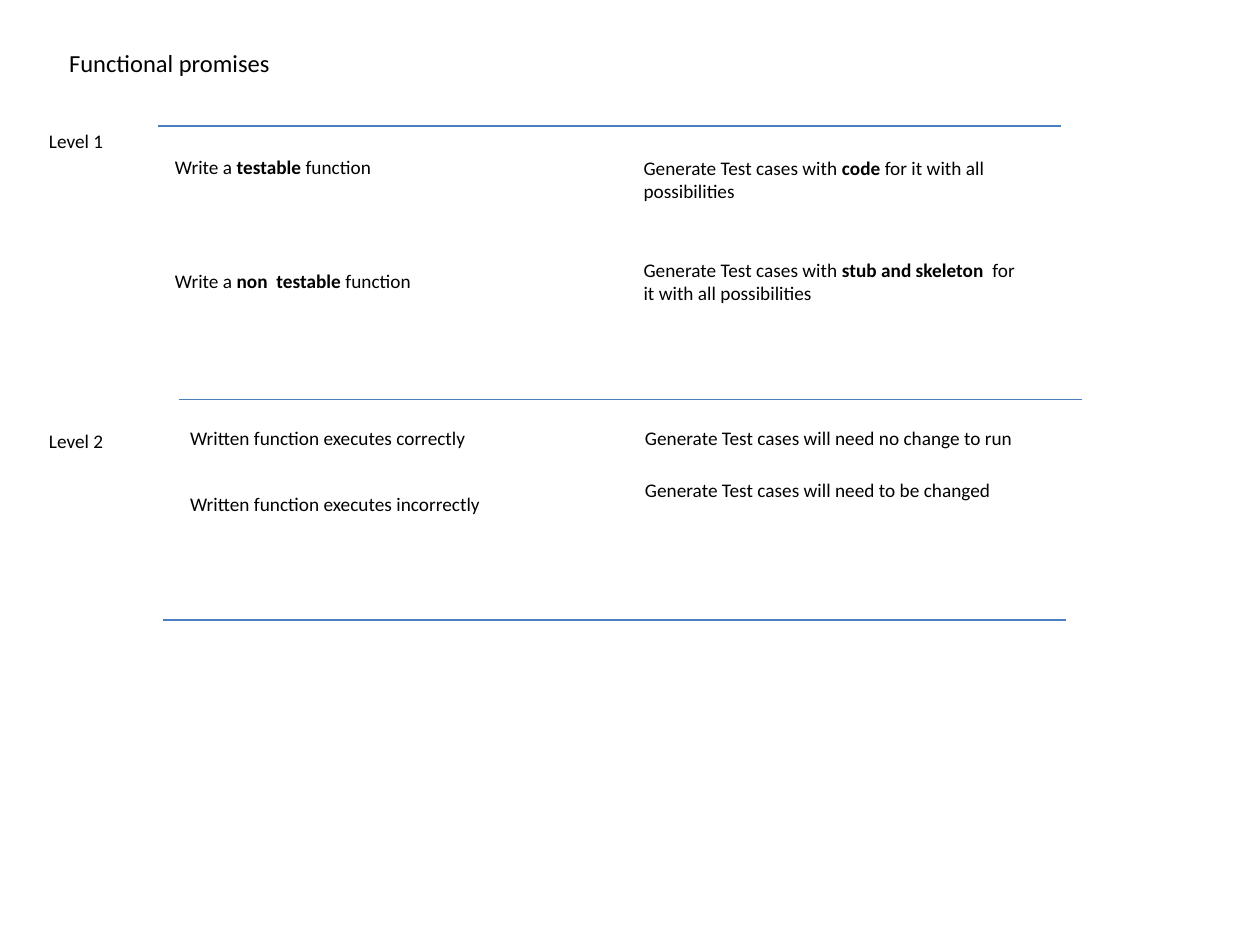
from dataclasses import dataclass

import lxml.etree
import pptx
import pptx.dml.color
import pptx.enum.shapes
import pptx.enum.text
import pptx.oxml.ns
import pptx.util

# The slide is a grid of 100 columns by 75 rows, each a tenth of an inch.
CELL = pptx.util.Inches(0.1)
COLUMNS, ROWS = 100, 75
RULE_COLUMNS = 71.7
LEVEL_COLUMN, LEVEL_COLUMNS = 2.9, 9.2
PROMISE_COLUMNS, TEST_COLUMNS = 27.5, 31.7
LINE_ROWS, TWO_LINE_ROWS = 2.9, 4.7
FONT, TEXT_SIZE, TITLE_SIZE = "Calibri", 11, 14
BLACK, BLUE = "000000", "4B7EBC"


@dataclass(frozen=True)
class Rule:
    """Left end of a horizontal rule, in grid cells."""
    column: float
    row: float


@dataclass(frozen=True)
class Label:
    """Text in a grid area; double asterisks enclose bold words."""
    text: str
    column: float
    row: float
    columns: float
    rows: float = LINE_ROWS
    size: float = TEXT_SIZE


RULES = [Rule(12.5, 10), Rule(14.2, 31.7), Rule(12.9, 49.2)]

LABELS = [
    Label("Functional promises", 4.5, 3.3, 19.6, 3.4, TITLE_SIZE),
    Label("Level 1", LEVEL_COLUMN, 9.8, LEVEL_COLUMNS),
    Label("Write a **testable** function", 12.9, 11.8, PROMISE_COLUMNS),
    Label("Generate Test cases with **code **for it with all possibilities",
          50.1, 11.9, TEST_COLUMNS, TWO_LINE_ROWS),
    Label("Write a **non  testable **function", 12.9, 20.9, PROMISE_COLUMNS),
    Label("Generate Test cases with **stub and skeleton  **for it with all possibilities",
          50.1, 20, TEST_COLUMNS, TWO_LINE_ROWS),
    Label("Level 2", LEVEL_COLUMN, 33.6, LEVEL_COLUMNS),
    Label("Written function executes correctly", 14.1, 33.3, PROMISE_COLUMNS),
    Label("Generate Test cases will need no change to run", 50.2, 33.3, TEST_COLUMNS),
    Label("Written function executes incorrectly", 14.1, 38.6, PROMISE_COLUMNS),
    Label("Generate Test cases will need to be changed", 50.2, 37.5, TEST_COLUMNS),
]


def cells(count: float) -> int:
    """Convert grid cells to a length."""
    return round(count * CELL)


def colour(value: str) -> pptx.dml.color.RGBColor:
    """Convert a hex string to a colour."""
    return pptx.dml.color.RGBColor.from_string(value)


def set_attributes(target: object, values: dict[str, object]) -> None:
    """Set each named format value on the target."""
    for name, value in values.items():
        setattr(target, name, value)


def draw_rule(slide: pptx.slide.Slide, rule: Rule) -> None:
    """Draw a horizontal rule without a shadow."""
    line = slide.shapes.add_connector(
        pptx.enum.shapes.MSO_CONNECTOR.STRAIGHT,
        cells(rule.column), cells(rule.row),
        cells(rule.column + RULE_COLUMNS), cells(rule.row))
    line.line.color.rgb = colour(BLUE)
    line.line.width = pptx.util.Pt(0.75)
    properties = line._element.spPr
    lxml.etree.SubElement(properties, pptx.oxml.ns.qn("a:effectLst"))


def draw_label(slide: pptx.slide.Slide, label: Label) -> None:
    """Draw a wrapped text box with its bold words."""
    box = slide.shapes.add_textbox(
        *map(cells, (label.column, label.row, label.columns, label.rows)))
    set_attributes(box.text_frame, {
        "word_wrap": True,
        "auto_size": pptx.enum.text.MSO_AUTO_SIZE.SHAPE_TO_FIT_TEXT,
    })
    paragraph = box.text_frame.paragraphs[0]
    for index, words in enumerate(label.text.split("**")):
        run = paragraph.add_run()
        run.text = words
        set_attributes(run.font, {
            "name": FONT,
            "size": pptx.util.Pt(label.size),
            "bold": index % 2 == 1,
        })
        run.font.color.rgb = colour(BLACK)


def main() -> None:
    """Build and save the slide."""
    presentation = pptx.Presentation()
    set_attributes(presentation, {
        "slide_width": cells(COLUMNS), "slide_height": cells(ROWS)})
    slide = presentation.slides.add_slide(presentation.slide_layouts[6])
    for rule in RULES:
        draw_rule(slide, rule)
    for label in LABELS:
        draw_label(slide, label)
    presentation.save("out.pptx")


main()
